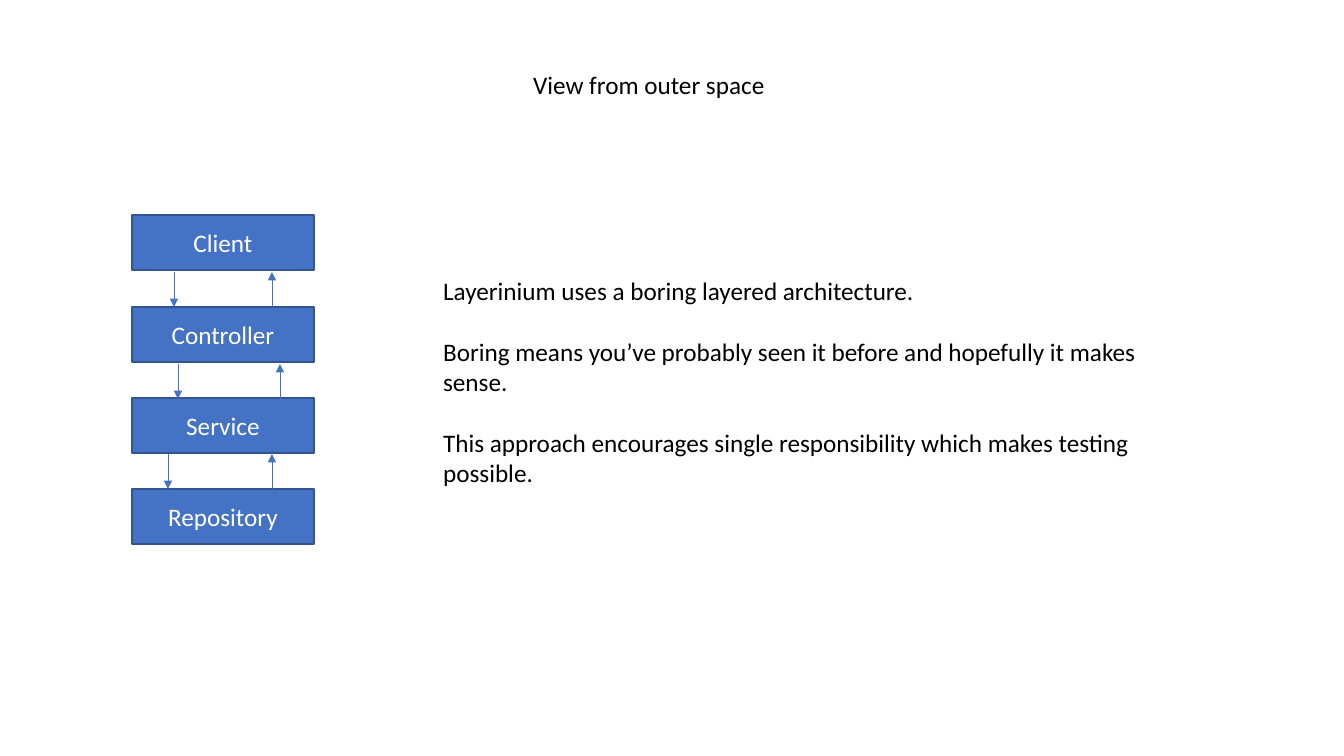
from dataclasses import dataclass

from lxml import etree
from pptx import Presentation
from pptx import util as u
from pptx.dml.color import RGBColor
from pptx.enum import shapes, text
from pptx.oxml.ns import qn


@dataclass(frozen=True)
class Theme:
    """Colours, font and sizes of the slide."""
    font: str = "Calibri"
    size: int = 18
    gap: int = 22
    ink: str = "000000"
    box_ink: str = "FFFFFF"
    box: str = "4472C4"
    edge: str = "325491"
    edge_width: float = 1
    arrow_width: float = 0.5


THEME = Theme()
LAYER_TOPS = {"Client": 215, "Controller": 307, "Service": 398, "Repository": 489}
LAYER_LEFT, LAYER_WIDTH, LAYER_HEIGHT = 132, 182, 55
CALLS = [(272, 307, 174, 272), (364, 399, 178, 280), (454, 489, 168, 272)]
STATEMENTS = [
    "Layerinium uses a boring layered architecture.",
    "Boring means you’ve probably seen it before and hopefully it makes sense.",
    "This approach encourages single responsibility which makes testing possible.",
]


def px(length):
    """Turn pixels into EMU."""
    return u.Emu(round(length * 914400 / 100.8))


def write(shape, lines, color=THEME.ink, align=text.PP_ALIGN.LEFT,
          anchor=text.MSO_ANCHOR.TOP, gap=0):
    """Fill a shape with formatted paragraphs."""
    frame = shape.text_frame
    frame.text = "\n".join(lines)
    frame.word_wrap = True
    frame.auto_size = text.MSO_AUTO_SIZE.NONE
    frame.vertical_anchor = anchor
    for index, paragraph in enumerate(frame.paragraphs):
        paragraph.alignment = align
        paragraph.space_before = u.Pt(gap if index else 0)
        font = paragraph.runs[0].font
        font.name, font.size = THEME.font, u.Pt(THEME.size)
        font.color.rgb = RGBColor.from_string(color)


def place(shape, left, top, width, height):
    """Move and resize a placeholder."""
    shape.left, shape.top = px(left), px(top)
    shape.width, shape.height = px(width), px(height)


def remove_bullets(shape):
    """Make list paragraphs plain and flush left."""
    for paragraph in shape.text_frame.paragraphs:
        properties = paragraph._p.get_or_add_pPr()
        properties.set("marL", "0")
        properties.set("indent", "0")
        etree.SubElement(properties, qn("a:buNone"))


def add_layer(slide, name, top):
    """Draw one layer of the architecture."""
    layer = slide.shapes.add_shape(
        shapes.MSO_SHAPE.FLOWCHART_PROCESS,
        px(LAYER_LEFT), px(top), px(LAYER_WIDTH), px(LAYER_HEIGHT))
    layer.shadow.inherit = False
    layer.fill.solid()
    layer.fill.fore_color.rgb = RGBColor.from_string(THEME.box)
    layer.line.color.rgb = RGBColor.from_string(THEME.edge)
    layer.line.width = u.Pt(THEME.edge_width)
    write(layer, [name], color=THEME.box_ink, align=text.PP_ALIGN.CENTER,
          anchor=text.MSO_ANCHOR.MIDDLE)


def add_arrow(slide, x, start, end):
    """Draw a vertical arrow from start to end."""
    arrow = slide.shapes.add_connector(
        shapes.MSO_CONNECTOR.STRAIGHT, px(x), px(start), px(x), px(end))
    arrow.line.color.rgb = RGBColor.from_string(THEME.box)
    arrow.line.width = u.Pt(THEME.arrow_width)
    etree.SubElement(arrow.line._get_or_add_ln(), qn("a:tailEnd"), type="triangle")
    etree.SubElement(arrow._element.spPr, qn("a:effectLst"))


def main():
    """Build and save the slide."""
    deck = Presentation()
    deck.slide_width, deck.slide_height = px(1344), px(756)
    slide = deck.slides.add_slide(deck.slide_layouts[1])

    title, statements = slide.placeholders
    place(title, 523, 64, 297, 40)
    write(title, ["View from outer space"])
    place(statements, 433, 270, 723, 224)
    write(statements, STATEMENTS, gap=THEME.gap)
    remove_bullets(statements)

    for name, top in LAYER_TOPS.items():
        add_layer(slide, name, top)
    for upper, lower, request_x, response_x in CALLS:
        add_arrow(slide, request_x, upper, lower)
        add_arrow(slide, response_x, lower, upper)

    deck.save("out.pptx")


main()
